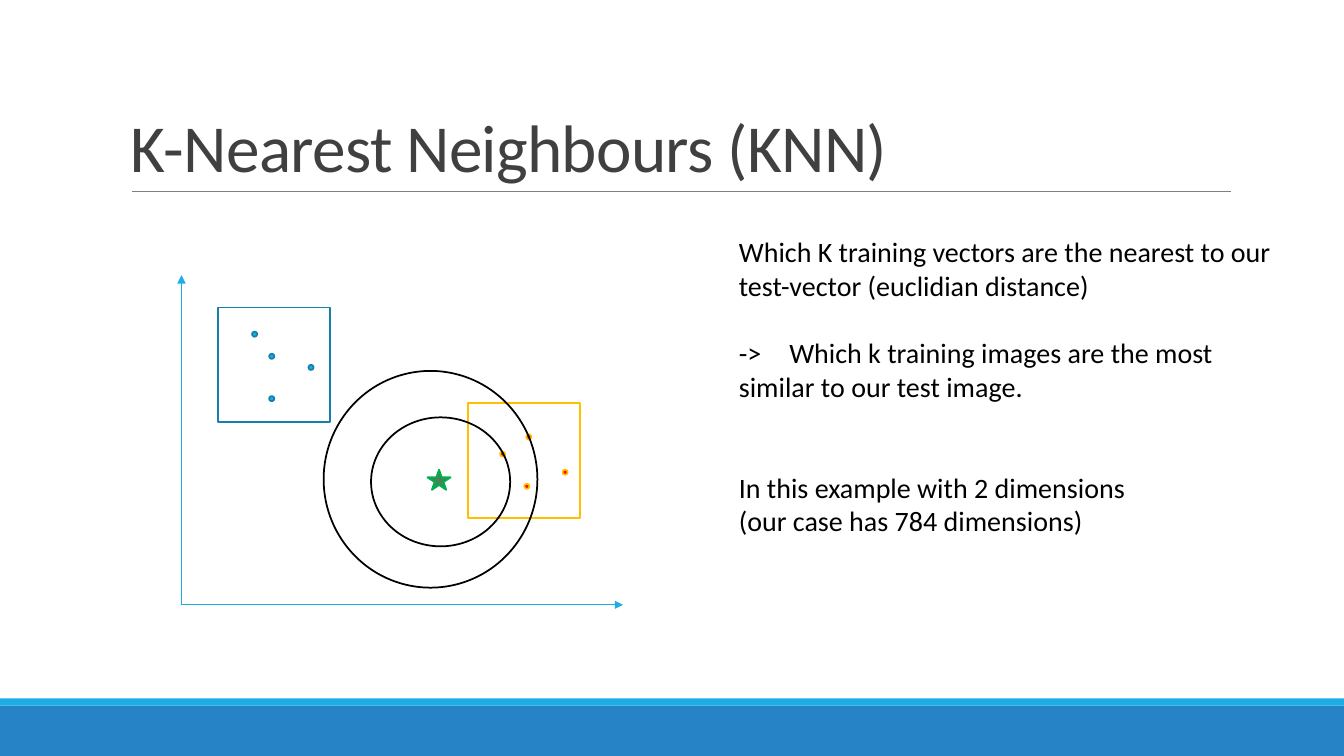
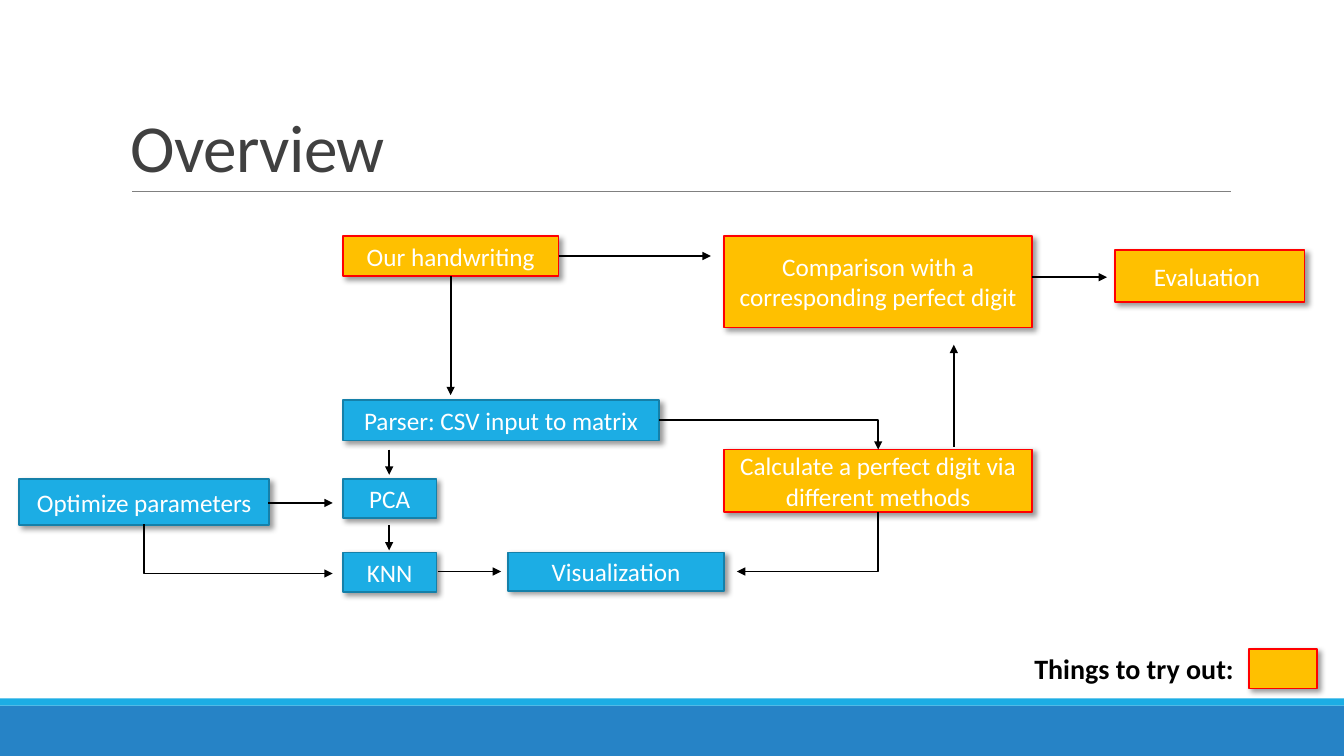
from lxml.etree import SubElement
from pptx import Presentation
from pptx.dml.color import RGBColor
from pptx.enum.shapes import MSO_CONNECTOR, MSO_SHAPE
from pptx.enum.text import MSO_ANCHOR, PP_ALIGN
from pptx.oxml.ns import qn
from pptx.util import Inches, Pt

BLUE = RGBColor(0x1C, 0xAD, 0xE4)
BAND = RGBColor(0x26, 0x83, 0xC6)
TEAL = RGBColor(0x15, 0x80, 0xA9)
GOLD = RGBColor(0xFF, 0xC0, 0x00)
RED = RGBColor(0xFF, 0x00, 0x00)
GREEN = RGBColor(0x00, 0xB0, 0x50)
MOSS = RGBColor(0x3E, 0x88, 0x53)
GRAY = RGBColor(0x80, 0x80, 0x80)
DARK = RGBColor(0x40, 0x40, 0x40)
BLACK = RGBColor(0, 0, 0)
WHITE = RGBColor(0xFF, 0xFF, 0xFF)

TITLE = {"size": Pt(48), "name": "Calibri"}
BODY = {"size": Pt(20), "name": "Calibri"}
BOLD = {**BODY, "bold": True}
LABEL = {"size": Pt(18), "name": "Calibri"}
MIDDLE = {"word_wrap": True, "vertical_anchor": MSO_ANCHOR.MIDDLE}
BOTTOM = {"word_wrap": True, "vertical_anchor": MSO_ANCHOR.BOTTOM}
WRAP = {"word_wrap": True}
LOOSE = {"word_wrap": False}
CENTER = {"alignment": PP_ALIGN.CENTER}
DONE = (BLUE, TEAL)
TRY = (GOLD, RED)


def put(item, style):
    for key, value in style.items():
        setattr(item, key, value)


def node(parent, tag, **attrs):
    return SubElement(parent, qn(tag), attrs)


def shape(slide, kind, area, fill=None, edge=None):
    form = slide.shapes.add_shape(kind, *map(Inches, area))
    form.shadow.inherit = False
    if fill is None:
        form.fill.background()
    else:
        form.fill.solid()
        form.fill.fore_color.rgb = fill
    if edge is None:
        form.line.fill.background()
    else:
        form.line.color.rgb = edge
        form.line.width = Pt(1.25)
    return form


def write(form, text, font, color, frame, para):
    put(form.text_frame, frame)
    part = form.text_frame.paragraphs[0]
    put(part, para)
    run = part.add_run()
    run.text = text
    put(run.font, font)
    run.font.color.rgb = color
    return run


def line(slide, start, end, color=BLACK, width=1.25, tip=None, bent=False):
    kind = MSO_CONNECTOR.ELBOW if bent else MSO_CONNECTOR.STRAIGHT
    wire = slide.shapes.add_connector(kind, *map(Inches, start + end))
    wire.line.color.rgb = color
    wire.line.width = Pt(width)
    props = wire._element.spPr
    if bent:
        props.find(qn("a:prstGeom")).set("prst", "bentConnector2")
    if tip:
        node(props.find(qn("a:ln")), tip, type="triangle")
    node(props, "a:effectLst")


def arrow(slide, start, end, **style):
    line(slide, start, end, tip="a:tailEnd", **style)


def box(slide, area, look, text=None):
    form = shape(slide, MSO_SHAPE.RECTANGLE, area, *look)
    glow = form._element.spPr.find(qn("a:effectLst"))
    shade = node(glow, "a:outerShdw", blurRad=str(Pt(4)), dist=str(Pt(3)),
                 dir="2700000", algn="tl", rotWithShape="0")
    tint = node(shade, "a:srgbClr", val=str(BLACK))
    node(tint, "a:alpha", val="40000")
    if text:
        write(form, text, LABEL, WHITE, MIDDLE, CENTER)


def label(slide, area):
    return slide.shapes.add_textbox(*map(Inches, area))


def start(deck, title):
    slide = deck.slides.add_slide(deck.slide_layouts[6])
    shape(slide, MSO_SHAPE.RECTANGLE, (0, 7, 13.33, 0.5), BAND)
    shape(slide, MSO_SHAPE.RECTANGLE, (0, 6.93, 13.33, 0.07), BLUE)
    line(slide, (1.31, 1.9), (12.21, 1.9), GRAY, 0.5)
    run = write(label(slide, (1.2, 0.31, 11, 1.59)), title, TITLE, DARK,
                BOTTOM, {"line_spacing": 0.85})
    run._r.get_or_add_rPr().set("spc", "-50")
    return slide


def group(slide, area, dots, fill, edge):
    for left, top in dots:
        shape(slide, MSO_SHAPE.OVAL, (left, top, 0.05, 0.05), fill, edge)
    shape(slide, MSO_SHAPE.RECTANGLE, area, None, edge)


def plot(slide):
    for end in ((1.8, 2.73), (6.18, 6)):
        arrow(slide, (1.8, 6), end, color=BLUE, width=1)
    group(slide, (2.16, 3.05, 1.11, 1.14),
          ((2.5, 3.29), (2.67, 3.93), (3.06, 3.62), (2.67, 3.51)), BLUE, TEAL)
    group(slide, (4.64, 4, 1.11, 1.14),
          ((5.22, 4.31), (5.58, 4.66), (4.96, 4.48), (5.2, 4.8)), RED, GOLD)
    shape(slide, MSO_SHAPE.STAR_5_POINT, (4.24, 4.66, 0.23, 0.2), MOSS, GREEN)
    for ring in ((3.68, 4.14, 1.38, 1.28), (3.21, 3.68, 2.12, 2.15)):
        shape(slide, MSO_SHAPE.OVAL, ring, None, BLACK)


def notes(slide):
    form = label(slide, (7.23, 2.28, 5.66, 3.13))
    write(form, "Which K training vectors are the nearest to our test-vector "
          "(euclidian distance)", BODY, BLACK, WRAP, {})
    for text, gap in (
        ("-> \tWhich k training images are the most \tsimilar to our test image.", 24),
        ("In this example with 2 dimensions", 48),
        ("(our case has 784 dimensions)", 0),
    ):
        part = form.text_frame.add_paragraph()
        part.space_before = Pt(gap)
        run = part.add_run()
        run.text = text
        put(run.font, BODY)
        run.font.color.rgb = BLACK


def flow(slide):
    for area, look, text in (
        ((3.4, 3.97, 3.14, 0.4), DONE, "Parser: CSV input to matrix"),
        ((3.4, 5.48, 0.93, 0.39), DONE, "KNN"),
        ((3.4, 4.75, 0.93, 0.39), DONE, "PCA"),
        ((0.19, 4.75, 2.48, 0.46), DONE, "Optimize parameters"),
        ((5.04, 5.48, 2.14, 0.38), DONE, "Visualization"),
        ((3.4, 2.34, 2.14, 0.4), TRY, "Our handwriting"),
        ((7.18, 4.46, 3.06, 0.62), TRY,
         "Calculate a perfect digit via different methods"),
        ((7.18, 2.34, 3.06, 0.91), TRY,
         "Comparison with a corresponding perfect digit"),
        ((11.06, 2.48, 1.88, 0.52), TRY, "Evaluation "),
    ):
        box(slide, area, look, text)
    for ends in (
        ((4.47, 2.74), (4.47, 3.92)),
        ((3.86, 4.46), (3.86, 4.71)),
        ((3.86, 5.21), (3.86, 5.46)),
        ((4.34, 5.67), (4.97, 5.67)),
        ((9.46, 4.43), (9.46, 3.42)),
        ((5.54, 2.54), (7.05, 2.54)),
        ((10.24, 2.75), (10.98, 2.75)),
        ((2.66, 4.99), (3.3, 4.99)),
    ):
        arrow(slide, *ends)
    arrow(slide, (6.54, 4.17), (8.71, 4.46), bent=True)
    for tip, root in (((7.31, 5.67), (8.71, 5.08)), ((3.3, 5.69), (1.43, 5.2))):
        line(slide, tip, root, tip="a:headEnd", bent=True)


def legend(slide):
    write(label(slide, (10.16, 6.41, 2.2, 0.44)), "Things to try out:",
          BOLD, BLACK, LOOSE, {})
    box(slide, (12.39, 6.44, 0.67, 0.39), TRY)


def main():
    deck = Presentation()
    put(deck, {"slide_width": Inches(13.33), "slide_height": Inches(7.5)})
    slide = start(deck, "K-Nearest Neighbours (KNN)")
    plot(slide)
    notes(slide)
    slide = start(deck, "Overview")
    flow(slide)
    legend(slide)
    deck.save("out.pptx")


main()
